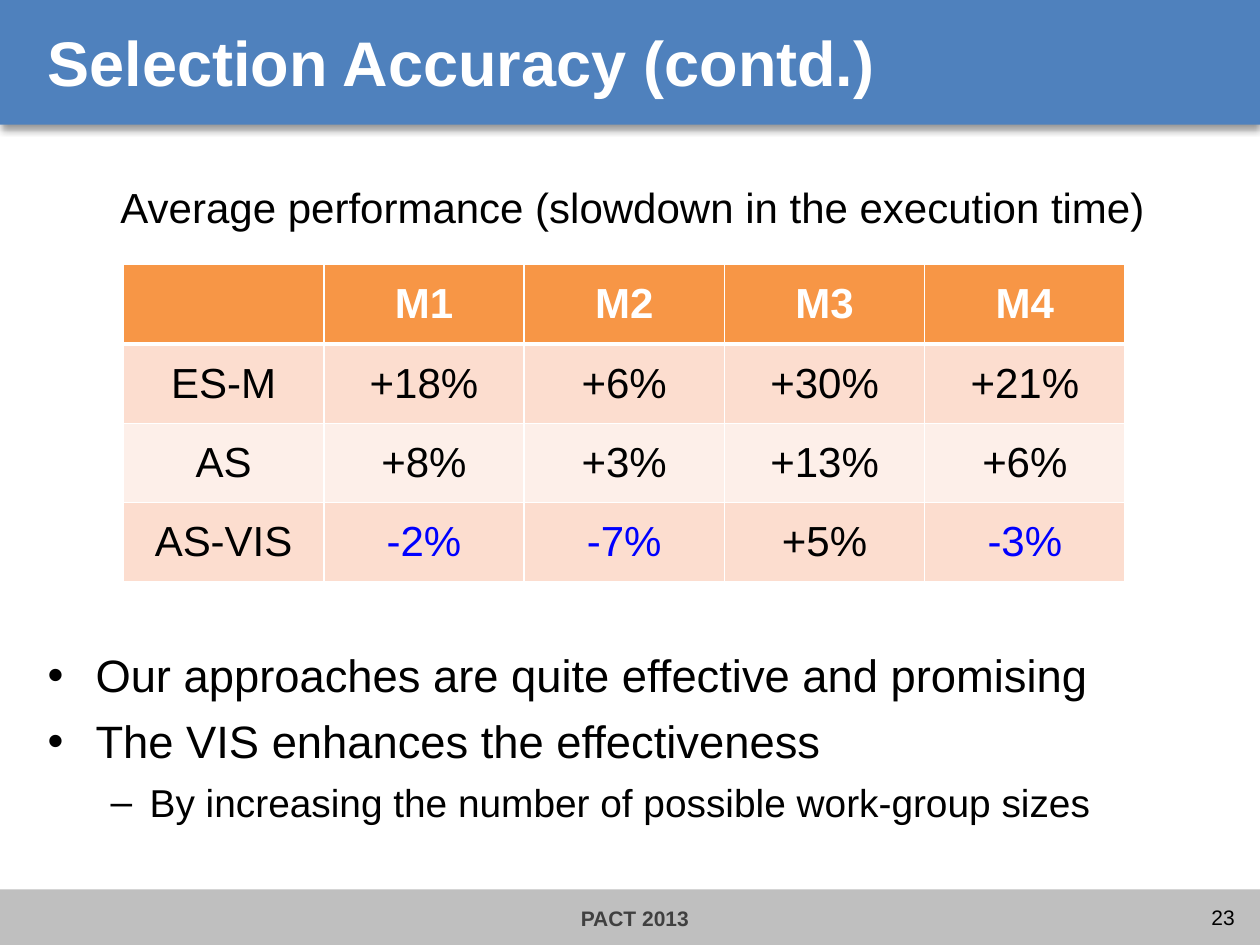
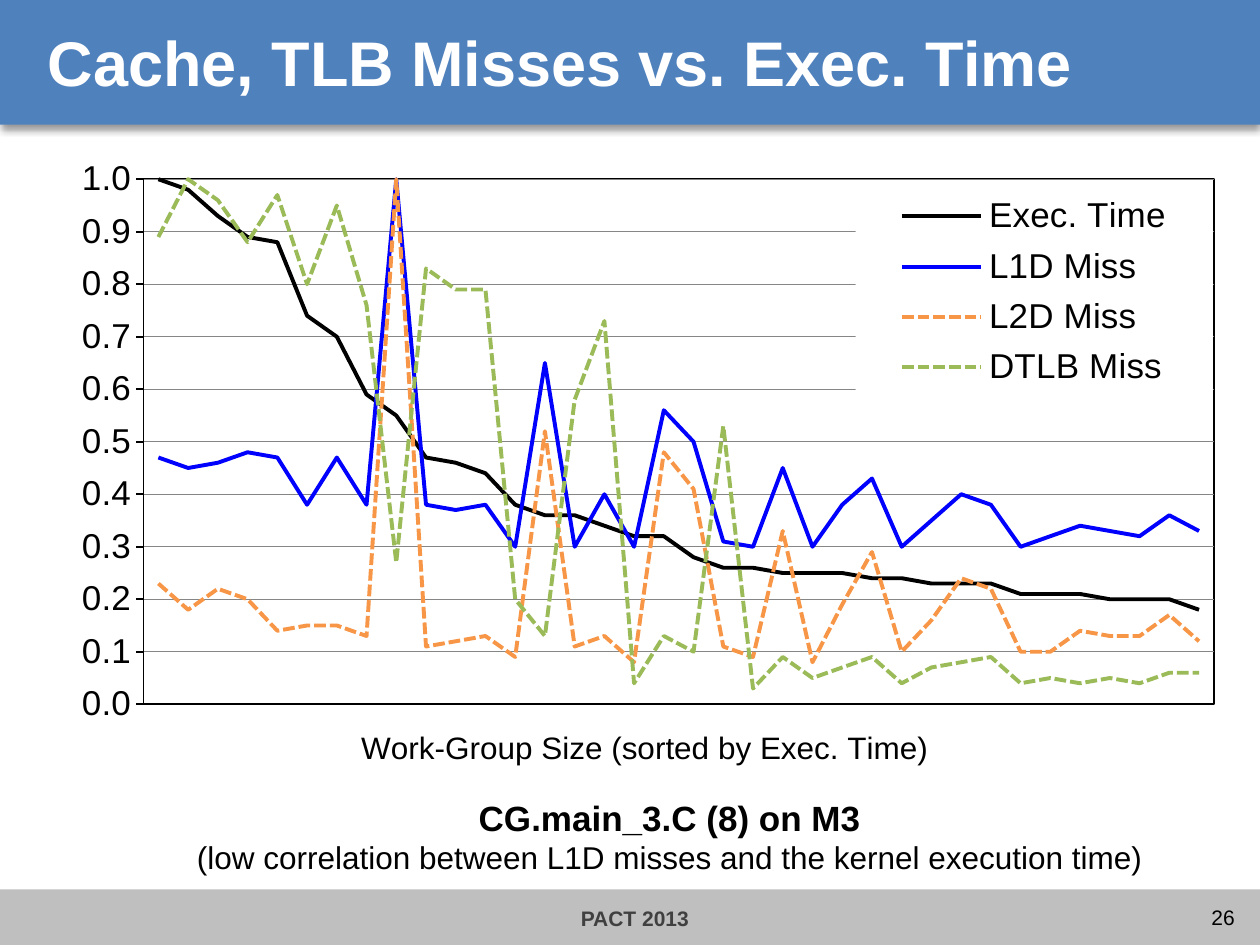
from dataclasses import dataclass

from lxml.etree import SubElement as Sub
from pptx import Presentation
from pptx.chart.data import CategoryChartData as ChartData
from pptx.dml.color import RGBColor as RGB
from pptx.enum.chart import XL_CHART_TYPE as Kind
from pptx.enum.chart import XL_LEGEND_POSITION as Spot
from pptx.enum.chart import XL_TICK_LABEL_POSITION as Label
from pptx.enum.chart import XL_TICK_MARK as Tick
from pptx.enum.dml import MSO_LINE as Dash
from pptx.enum.shapes import MSO_SHAPE as Shape
from pptx.enum.text import MSO_ANCHOR as Anchor
from pptx.enum.text import PP_ALIGN as Align
from pptx.oxml import parse_xml
from pptx.oxml.ns import nsdecls, qn
from pptx.util import Inches, Pt


@dataclass(frozen=True)
class Theme:
    font: str = "Arial"
    black: str = "000000"
    white: str = "FFFFFF"
    blue: str = "0000FF"
    head: str = "4F81BD"
    foot: str = "BFBFBF"
    mark: str = "404040"
    grid: str = "868686"
    orange: str = "F79646"
    green: str = "9BBB59"
    rows: tuple = ("FCDDCF", "FDEFE9")
    title: float = 36
    body: float = 25.9
    sub: float = 22.2
    cell: float = 24
    label: float = 20
    note: float = 18
    small: float = 12


T = Theme()

TABLE = [
    ["", "M1", "M2", "M3", "M4"],
    ["ES-M", "+18%", "+6%", "+30%", "+21%"],
    ["AS", "+8%", "+3%", "+13%", "+6%"],
    ["AS-VIS", "-2%", "-7%", "+5%", "-3%"],
]

POINTS = [
    (0, "Our approaches are quite effective and promising"),
    (0, "The VIS enhances the effectiveness"),
    (1, "By increasing the number of possible work-group sizes"),
]

# Bullet sign, type size, left margin and hang for each level
LEVELS = [("•", T.body, 0.38, 0.38), ("–", T.sub, 0.81, 0.31)]

SERIES = [
    ("Exec. Time", T.black, False, [
        1, 0.98, 0.93, 0.89, 0.88, 0.74, 0.7, 0.59, 0.55, 0.47, 0.46, 0.44,
        0.38, 0.36, 0.36, 0.34, 0.32, 0.32, 0.28, 0.26, 0.26, 0.25, 0.25, 0.25,
        0.24, 0.24, 0.23, 0.23, 0.23, 0.21, 0.21, 0.21, 0.2, 0.2, 0.2, 0.18]),
    ("L1D Miss", T.blue, False, [
        0.47, 0.45, 0.46, 0.48, 0.47, 0.38, 0.47, 0.38, 1, 0.38, 0.37, 0.38,
        0.3, 0.65, 0.3, 0.4, 0.3, 0.56, 0.5, 0.31, 0.3, 0.45, 0.3, 0.38,
        0.43, 0.3, 0.35, 0.4, 0.38, 0.3, 0.32, 0.34, 0.33, 0.32, 0.36, 0.33]),
    ("L2D Miss", T.orange, True, [
        0.23, 0.18, 0.22, 0.2, 0.14, 0.15, 0.15, 0.13, 1, 0.11, 0.12, 0.13,
        0.09, 0.52, 0.11, 0.13, 0.08, 0.48, 0.41, 0.11, 0.09, 0.33, 0.08, 0.19,
        0.29, 0.1, 0.16, 0.24, 0.22, 0.1, 0.1, 0.14, 0.13, 0.13, 0.17, 0.12]),
    ("DTLB Miss", T.green, True, [
        0.89, 1, 0.96, 0.88, 0.97, 0.8, 0.95, 0.76, 0.27, 0.83, 0.79, 0.79,
        0.2, 0.13, 0.58, 0.73, 0.04, 0.13, 0.1, 0.53, 0.03, 0.09, 0.05, 0.07,
        0.09, 0.04, 0.07, 0.08, 0.09, 0.04, 0.05, 0.04, 0.05, 0.04, 0.06, 0.06]),
]


def put(obj, **vals):
    for key, val in vals.items():
        setattr(obj, key, val)


def ink(font, size, color=T.black, bold=False):
    put(font, name=T.font, size=Pt(size), bold=bold)
    font.color.rgb = RGB.from_string(color)


def paint(fill, color):
    fill.solid()
    fill.fore_color.rgb = RGB.from_string(color)


def stroke(line, color, width):
    paint(line.fill, color)
    line.width = Pt(width)


def write(para, text, size, color=T.black, bold=False, align=Align.LEFT):
    para.alignment = align
    run = para.add_run()
    run.text = text
    ink(run.font, size, color, bold)


def frame(slide, box, pad=True, **vals):
    """Add an empty text box; without pad its insets are zero."""
    text = slide.shapes.add_textbox(*map(Inches, box)).text_frame
    put(text, **{"word_wrap": True, **vals})
    if not pad:
        put(text, margin_left=0, margin_right=0, margin_top=0, margin_bottom=0)
    return text


def band(slide, box, color):
    bar = slide.shapes.add_shape(Shape.RECTANGLE, *map(Inches, box))
    paint(bar.fill, color)
    bar.line.fill.background()
    bar.shadow.inherit = False
    return bar


def shade(bar):
    """Cast a soft shadow straight down."""
    glow = bar._element.spPr.find(qn("a:effectLst"))
    drop = Sub(glow, qn("a:outerShdw"), blurRad=str(Pt(4)), dist=str(Pt(3)),
               dir="5400000", algn="t", rotWithShape="0")
    tint = Sub(drop, qn("a:srgbClr"), val=T.black)
    Sub(tint, qn("a:alpha"), val="40000")


def header(slide, box, title):
    x, y, w, h = box
    shade(band(slide, box, T.head))
    text = frame(slide, (x + 0.28, y + 0.13, w - 0.55, h - 0.28),
                 vertical_anchor=Anchor.MIDDLE)
    write(text.paragraphs[0], title, T.title, T.white, True)


def footer(slide, box, page):
    x, y, w, h = box
    band(slide, box, T.foot)
    mark = frame(slide, (x + 4.61, y + 0.13, 0.87, 0.2), False,
                 word_wrap=False, vertical_anchor=Anchor.MIDDLE)
    write(mark.paragraphs[0], "PACT 2013", T.small, T.mark, True)
    num = frame(slide, (x + w - 0.91, y + 0.1, 0.71, 0.24), False,
                vertical_anchor=Anchor.MIDDLE)
    write(num.paragraphs[0], str(page), T.small, align=Align.RIGHT)


def base(deck, title, page):
    slide = deck.slides.add_slide(deck.slide_layouts[6])
    header(slide, (0, 0, 10, 0.99), title)
    footer(slide, (0, 7.06, 10, 0.44), page)
    return slide


def edge(cell, top, low):
    """Draw white borders, with the given top and bottom widths."""
    props = cell._tc.get_or_add_tcPr()
    sides = {"lnL": 1, "lnR": 1, "lnT": top, "lnB": low}
    for spot, (side, width) in enumerate(sides.items()):
        line = props.makeelement(qn(f"a:{side}"), {"w": str(Pt(width))})
        props.insert(spot, line)
        Sub(Sub(line, qn("a:solidFill")), qn("a:srgbClr"), val=T.white)


def grid(slide, box):
    rows, cols = len(TABLE), len(TABLE[0])
    table = slide.shapes.add_table(rows, cols, *map(Inches, box)).table
    for col in table.columns:
        col.width = Inches(box[2] / cols)
    for r, row in enumerate(TABLE):
        table.rows[r].height = Inches(box[3] / rows)
        for c, text in enumerate(row):
            cell = table.cell(r, c)
            cell.vertical_anchor = Anchor.MIDDLE
            paint(cell.fill, T.rows[(r - 1) % 2] if r else T.orange)
            edge(cell, 3 if r == 1 else 1, 1 if r else 3)
            if text:
                gain = T.blue if text.startswith("-") else T.black
                write(cell.text_frame.paragraphs[0], text, T.cell,
                      gain if r else T.white, not r, Align.CENTER)


def bullets(slide, box):
    text = frame(slide, box)
    for i, (level, line) in enumerate(POINTS):
        para = text.add_paragraph() if i else text.paragraphs[0]
        sign, size, left, hang = LEVELS[level]
        put(para, level=level, space_before=Pt(6.5 if i else 3))
        write(para, line, size)
        props = para._p.get_or_add_pPr()
        props.set("marL", str(Inches(left)))
        props.set("indent", str(-Inches(hang)))
        Sub(props, qn("a:buFont"), typeface=T.font)
        Sub(props, qn("a:buChar"), char=sign)


def place(part, spot, inner=False):
    """Fix a chart part at x, y and, if given, w, h as shares of the chart."""
    old = part.find(qn("c:layout"))
    if old is None:
        old = part.makeelement(qn("c:layout"), {})
        part.insert(0 if inner else 1, old)
    for child in list(old):
        old.remove(child)
    hold = Sub(old, qn("c:manualLayout"))
    if inner:
        Sub(hold, qn("c:layoutTarget"), val="inner")
    for key in "xy":
        Sub(hold, qn(f"c:{key}Mode"), val="edge")
    for key, val in zip("xywh", spot):
        Sub(hold, qn(f"c:{key}"), val=str(val))


def look(body):
    return parse_xml(f'<c:spPr {nsdecls("c", "a")}>{body}</c:spPr>')


def solid(color):
    return f'<a:solidFill><a:srgbClr val="{color}"/></a:solidFill>'


def axes(chart):
    cat, val = chart.category_axis, chart.value_axis
    put(cat, major_tick_mark=Tick.NONE, minor_tick_mark=Tick.NONE,
        tick_label_position=Label.NONE, has_major_gridlines=False)
    put(val, minimum_scale=0, maximum_scale=1, major_unit=0.1,
        major_tick_mark=Tick.OUTSIDE, minor_tick_mark=Tick.NONE,
        has_major_gridlines=True)
    put(val.tick_labels, number_format="0.0", number_format_is_linked=False)
    ink(val.tick_labels.font, T.label)
    stroke(val.major_gridlines.format.line, T.grid, 0.75)
    for axis in (cat, val):
        stroke(axis.format.line, T.black, 1)
    write(cat.axis_title.text_frame.paragraphs[0],
          "Work-Group Size (sorted by Exec. Time)", T.note)
    place(cat.axis_title._element, (0.27, 0.93))


def legend(chart):
    chart.has_legend = True
    key = chart.legend
    put(key, position=Spot.RIGHT, include_in_layout=True)
    ink(key.font, T.label)
    place(key._element, (0.69, 0.05, 0.3, 0.35))
    key._element.find(qn("c:overlay")).addnext(look(solid(T.white)))


def plot(slide, box):
    data = ChartData(number_format="0.00")
    data.categories = [str(n + 1) for n in range(len(SERIES[0][3]))]
    for name, _, _, vals in SERIES:
        data.add_series(name, vals)
    chart = slide.shapes.add_chart(Kind.LINE, *map(Inches, box), data).chart
    chart.has_title = False
    ink(chart.font, T.label)
    chart.plots[0].vary_by_categories = False
    for line, (_, color, dashed, _) in zip(chart.plots[0].series, SERIES):
        line.smooth = False
        stroke(line.format.line, color, 2.25)
        if dashed:
            line.format.line.dash_style = Dash.SQUARE_DOT
    axes(chart)
    legend(chart)
    area = chart._chartSpace.chart.plotArea
    place(area, (0.092, 0.04, 0.899, 0.862), True)
    area.append(look(f'<a:noFill/><a:ln w="{Pt(1)}">{solid(T.black)}</a:ln>'))


def caption(slide, box, lines):
    """Center lines of (text, size, bold) in the box."""
    text = frame(slide, box, word_wrap=False)
    for i, (line, size, bold) in enumerate(lines):
        para = text.add_paragraph() if i else text.paragraphs[0]
        write(para, line, size, bold=bold, align=Align.CENTER)


def main():
    deck = Presentation()
    put(deck, slide_width=Inches(10), slide_height=Inches(7.5))

    slide = base(deck, "Selection Accuracy (contd.)", 23)
    bullets(slide, (0.28, 5.09, 9.45, 1.5))
    grid(slide, (0.98, 2.1, 7.95, 2.52))
    caption(slide, (0.81, 1.39, 8.42, 0.5), [
        ("Average performance (slowdown in the execution time)", T.cell, False)])

    slide = base(deck, "Cache, TLB Misses vs. Exec. Time", 26)
    caption(slide, (1.46, 6.27, 7.71, 0.74), [
        ("CG.main_3.C (8) on M3", T.label, True),
        ("(low correlation between L1D misses and the kernel execution time)",
         T.note, False)])
    plot(slide, (0.27, 1.23, 9.45, 4.92))
    deck.save("out.pptx")


if __name__ == "__main__":
    main()
